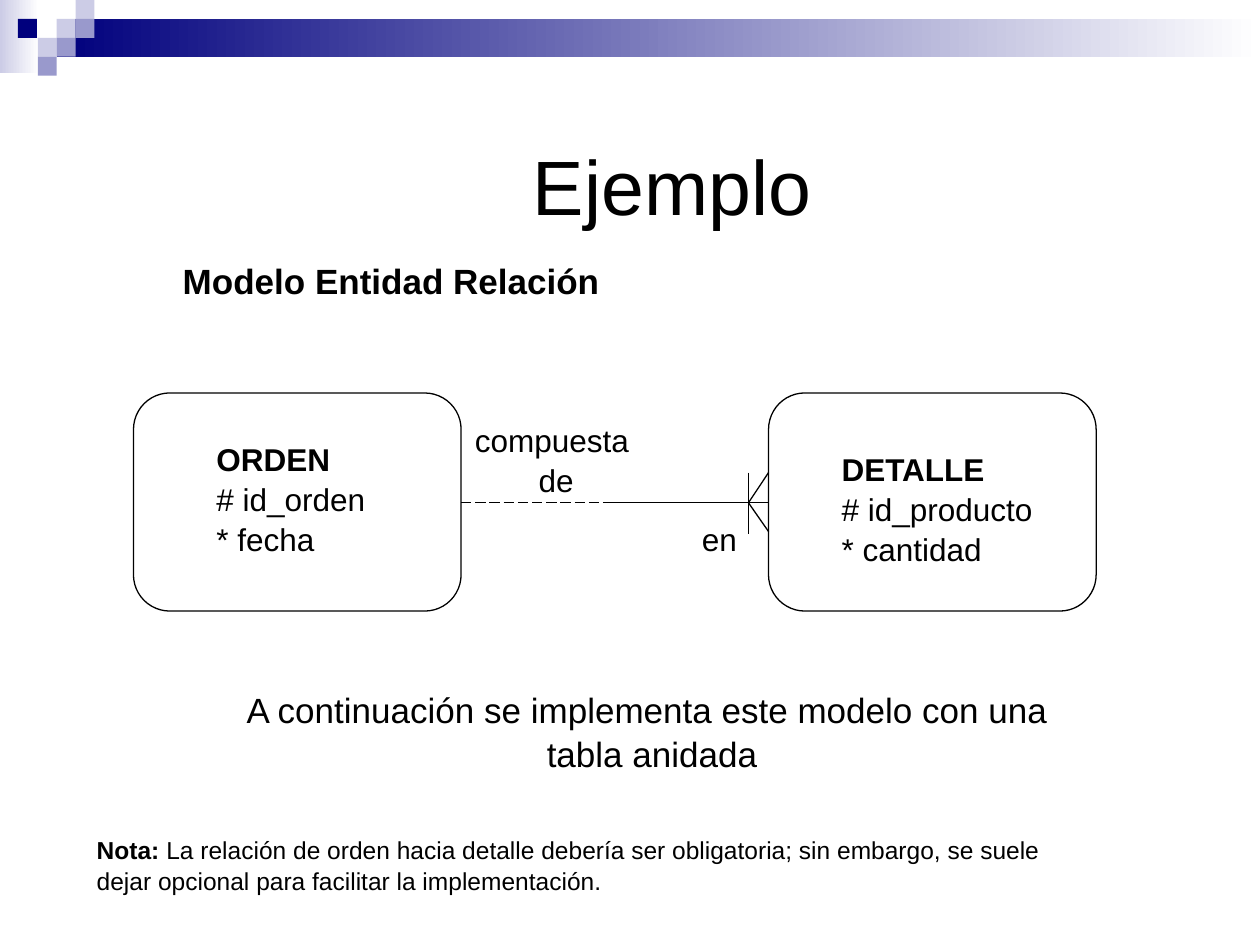
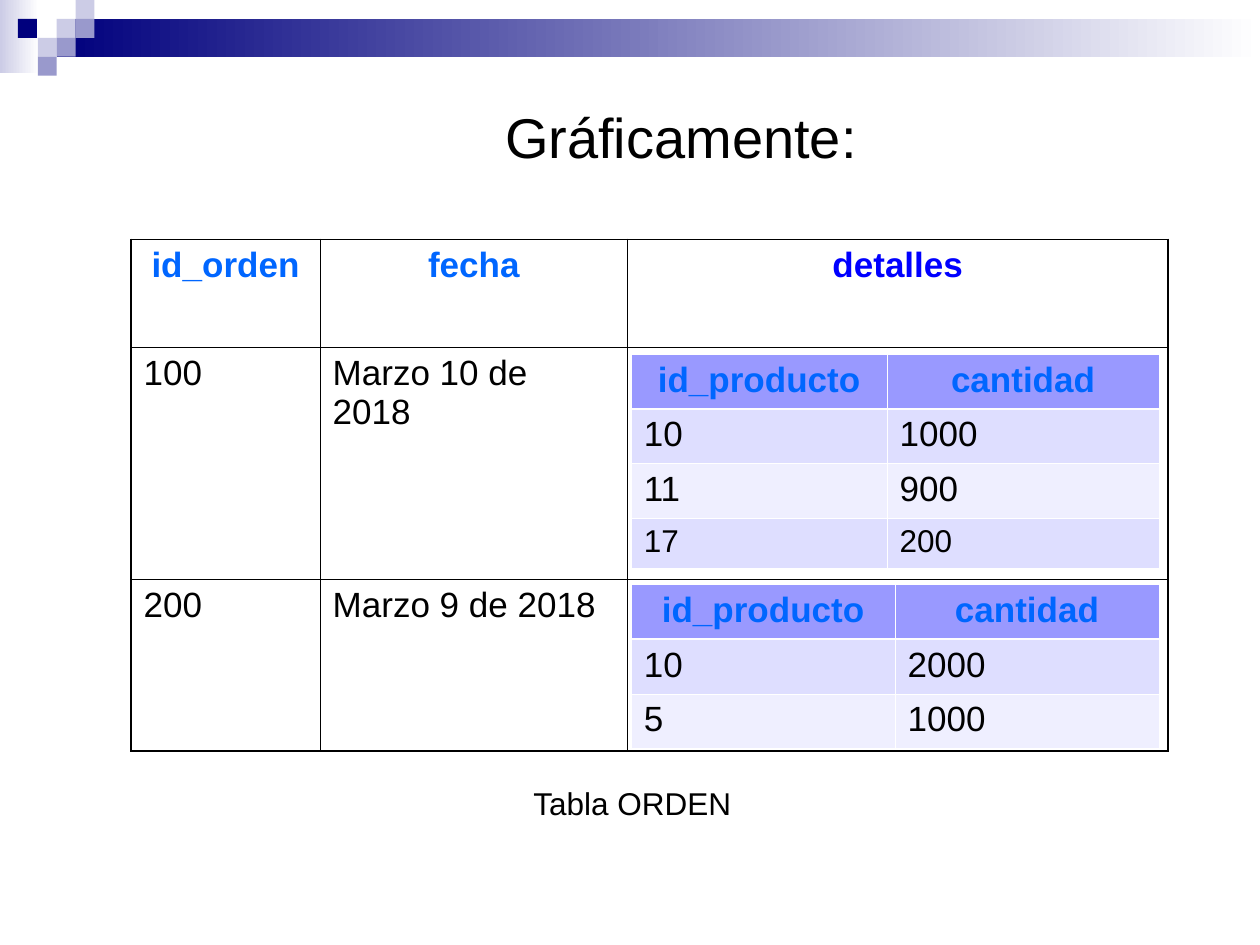
from lxml.etree import SubElement
from pptx import Presentation
from pptx.dml.color import RGBColor
from pptx.enum.dml import MSO_LINE
from pptx.enum.shapes import MSO_CONNECTOR, MSO_SHAPE
from pptx.enum.text import MSO_ANCHOR, MSO_AUTO_SIZE, PP_ALIGN
from pptx.oxml.ns import qn
from pptx.util import Pt

COLORS = {
    "black": "000000",
    "white": "FFFFFF",
    "navy": "00007D",
    "lavender": "CCCCE6",
    "violet": "9999CC",
    "key_blue": "0066FF",
    "detail_blue": "0000FF",
    "header": "9999FF",
    "odd_row": "DEDEFF",
    "even_row": "EFEFFF",
}
FONT = "Arial"
LEFT, CENTER = PP_ALIGN.LEFT, PP_ALIGN.CENTER
SQUARE = 10.8


def write(frame, text, size=18, color="black", bold=False, lead="", align=LEFT, spacing=None):
    for index, line in enumerate(text.split("\n")):
        paragraph = frame.add_paragraph() if index else frame.paragraphs[0]
        paragraph.alignment = align
        paragraph.line_spacing = spacing
        start = lead if line.startswith(lead) else ""
        for part, is_bold in ((start, True), (line[len(start):], bold)):
            if part:
                run = paragraph.add_run()
                run.text = part
                run.font.name = FONT
                run.font.size = Pt(size)
                run.font.bold = is_bold
                run.font.color.rgb = RGBColor.from_string(COLORS[color])


def add_grid(slide, left, top, widths, heights, border, edge, header_rule, fills=None):
    frame = slide.shapes.add_table(len(heights), len(widths), Pt(left), Pt(top),
                                   Pt(sum(widths)), Pt(sum(heights)))
    table = frame.table
    table.first_row = table.horz_banding = False
    for column, width in zip(table.columns, widths):
        column.width = Pt(width)
    last_row, last_column = len(heights) - 1, len(widths) - 1
    for row, height in enumerate(heights):
        table.rows[row].height = Pt(height)
        for column in range(len(widths)):
            cell = table.cell(row, column)
            rules = {
                "a:lnL": edge if column == 0 else 0.45,
                "a:lnR": edge if column == last_column else 0.45,
                "a:lnT": edge if row == 0 else header_rule if row == 1 else 0.45,
                "a:lnB": edge if row == last_row else header_rule if row == 0 else 0.45,
            }
            properties = cell._tc.get_or_add_tcPr()
            for tag, width in rules.items():
                line = SubElement(properties, qn(tag), w=str(Pt(width)))
                fill = SubElement(line, qn("a:solidFill"))
                SubElement(fill, qn("a:srgbClr"), val=COLORS[border])
            if fills:
                cell.fill.solid()
                cell.fill.fore_color.rgb = RGBColor.from_string(COLORS[fills[row]])
            else:
                cell.fill.background()
    return table


presentation = Presentation()
presentation.slide_width, presentation.slide_height = Pt(720), Pt(540)
blank = presentation.slide_layouts[6]
model_slide = presentation.slides.add_slide(blank)
table_slide = presentation.slides.add_slide(blank)

bands = [(0, 0, 22.3, 41.8, "lavender"), (32.4, SQUARE, 687.6, 21.6, "navy")]
squares = [(3, 1, "lavender"), (4, 0, "lavender"), (4, 1, "violet"), (2, 2, "lavender"),
           (0.95, 1, "navy"), (3, 2, "violet"), (2, 3, "violet")]
titles = [(model_slide, "Ejemplo", 44, 105.1, 65.5, 77.8),
          (table_slide, "Gráficamente:", 32, 110.2, 43.2, 67.7)]

for slide, title, size, left, top, height in titles:
    for band_left, band_top, band_width, band_height, color in bands:
        band = slide.shapes.add_shape(MSO_SHAPE.RECTANGLE, Pt(band_left), Pt(band_top),
                                      Pt(band_width), Pt(band_height))
        band.shadow.inherit = False
        band.line.fill.background()
        band.fill.gradient()
        band.fill.gradient_angle = 0
        for stop, name in zip(band.fill.gradient_stops, (color, "white")):
            stop.color.rgb = RGBColor.from_string(COLORS[name])
    for column, row, color in squares:
        square = slide.shapes.add_shape(MSO_SHAPE.RECTANGLE, Pt(column * SQUARE), Pt(row * SQUARE),
                                        Pt(SQUARE), Pt(SQUARE))
        square.shadow.inherit = False
        square.line.fill.background()
        square.fill.solid()
        square.fill.fore_color.rgb = RGBColor.from_string(COLORS[color])
    title_box = slide.shapes.add_textbox(Pt(left), Pt(top), Pt(558), Pt(height))
    title_box.text_frame.word_wrap = True
    title_box.text_frame.vertical_anchor = MSO_ANCHOR.MIDDLE
    write(title_box.text_frame, title, size=size, align=CENTER, spacing=1.05)

for left in (76.3, 439.2):
    entity = model_slide.shapes.add_shape(MSO_SHAPE.ROUNDED_RECTANGLE, Pt(left), Pt(224.6),
                                          Pt(187.2), Pt(124.6))
    entity.shadow.inherit = False
    entity.fill.background()
    entity.line.color.rgb = RGBColor.from_string(COLORS["black"])
    entity.line.width = Pt(0.75)

relation_y, foot_x, detail_x = 287.3, 427.7, 439.2
relation_lines = [
    (348.5, relation_y, detail_x, relation_y, None),
    (foot_x, relation_y, detail_x, 270, None),
    (foot_x, relation_y, detail_x, 303.8, None),
    (foot_x, 270, foot_x, 305.3, None),
    (263.5, relation_y, 382.3, relation_y, MSO_LINE.LONG_DASH),
]
for start_x, start_y, end_x, end_y, dash in relation_lines:
    connector = model_slide.shapes.add_connector(MSO_CONNECTOR.STRAIGHT, Pt(start_x), Pt(start_y),
                                                 Pt(end_x), Pt(end_y))
    connector.line.color.rgb = RGBColor.from_string(COLORS["black"])
    connector.line.width = Pt(0.75)
    connector.line.dash_style = dash
    SubElement(connector._element.spPr, qn("a:effectLst"))

columns = [108, 175.7, 308.9]
orders = add_grid(table_slide, 74.9, 136.8, columns, [61.9, 132.5, 97.9], "black", 1.08, 0.45)
for column, (name, color) in enumerate([("id_orden", "key_blue"), ("fecha", "key_blue"),
                                        ("detalles", "detail_blue")]):
    write(orders.cell(0, column).text_frame, name, size=20, color=color, bold=True, align=CENTER)
for row, values in enumerate([("100", "Marzo 10 de 2018"), ("200", "Marzo 9 de 2018")], 1):
    for column, value in enumerate(values):
        write(orders.cell(row, column).text_frame, value, size=20)

details = [
    (202.3, [146.2, 155.5], [31, 31, 31, 28.8],
     [("10", "1000", 20), ("11", "900", 20), ("17", "200", 18)]),
    (334.1, [150.8, 150.8], [31, 31, 31], [("10", "2000", 20), ("5", "1000", 20)]),
]
for top, widths, heights, products in details:
    fills = ["header", "odd_row", "even_row", "odd_row"]
    detail = add_grid(table_slide, 360.7, top, widths, heights, "white", 0.45, 1.47, fills)
    for column, name in enumerate(("id_producto", "cantidad")):
        write(detail.cell(0, column).text_frame, name, size=20, color="key_blue", bold=True,
              align=CENTER)
        for row, product in enumerate(products, 1):
            write(detail.cell(row, column).text_frame, product[column], size=product[2])

note = ("Nota: La relación de orden hacia detalle debería ser obligatoria; sin embargo, "
        "se suele dejar opcional para facilitar la implementación.")
texts = [
    (model_slide, 97.2, 143.3, 252.7, 31.7, False, "Modelo Entidad Relación",
     dict(size=20, bold=True, align=CENTER)),
    (model_slide, 116.6, 247, 99.4, 72, False, "ORDEN\n# id_orden\n* fecha", dict(lead="ORDEN")),
    (model_slide, 473.8, 252.7, 128.2, 72, False, "DETALLE\n# id_producto\n* cantidad",
     dict(lead="DETALLE")),
    (model_slide, 393.8, 292.3, 34.6, 28.8, False, "en", dict(align=CENTER)),
    (model_slide, 264.2, 236.2, 107.3, 50.4, False, "compuesta \nde", dict(align=CENTER)),
    (model_slide, 48.2, 473, 555.8, 41, True, note, dict(size=14, lead="Nota:")),
    (model_slide, 133.2, 388.8, 478.8, 55.4, False,
     "A continuación se implementa este modelo con una \ntabla anidada",
     dict(size=20, align=CENTER)),
    (table_slide, 296.6, 443.5, 129.6, 28.8, False, "Tabla ORDEN", dict(align=CENTER)),
]
for slide, left, top, width, height, wrap, text, style in texts:
    box = slide.shapes.add_textbox(Pt(left), Pt(top), Pt(width), Pt(height))
    box.text_frame.word_wrap = wrap
    box.text_frame.auto_size = MSO_AUTO_SIZE.SHAPE_TO_FIT_TEXT
    write(box.text_frame, text, spacing=1.05, **style)

presentation.save("out.pptx")
